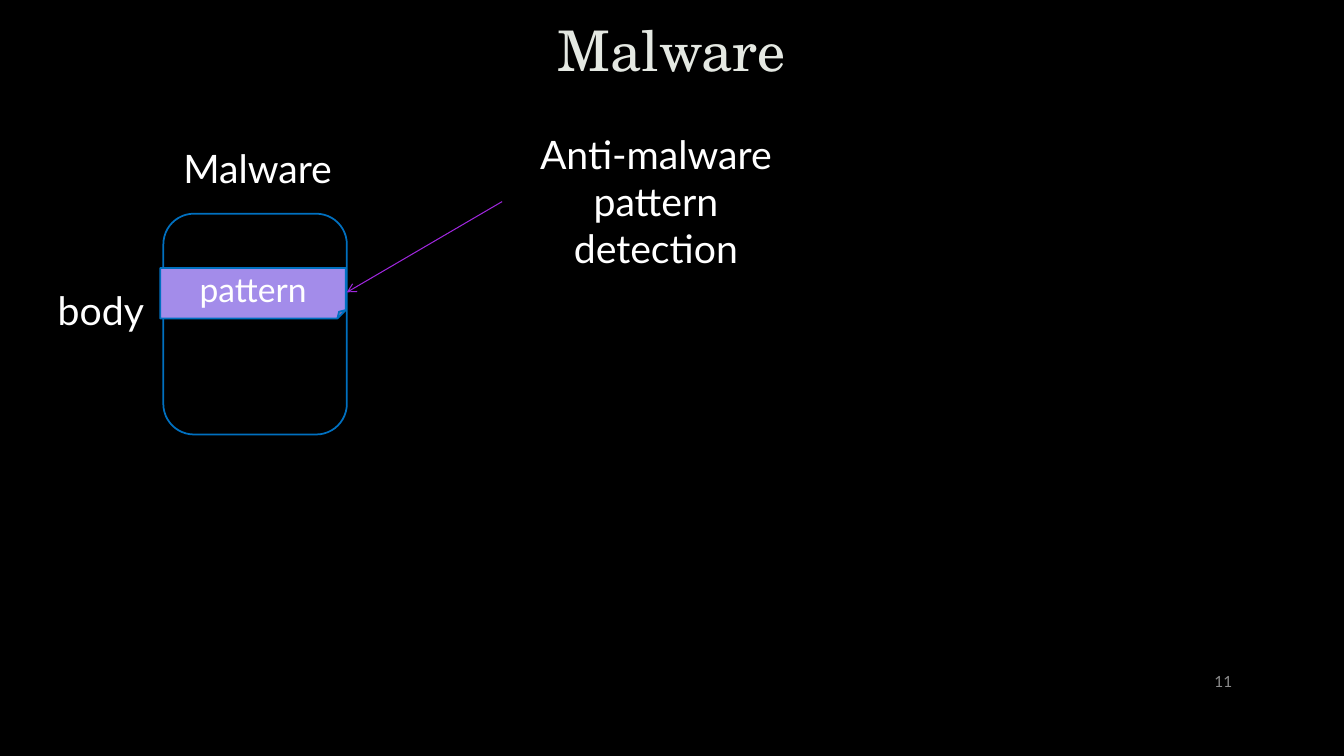
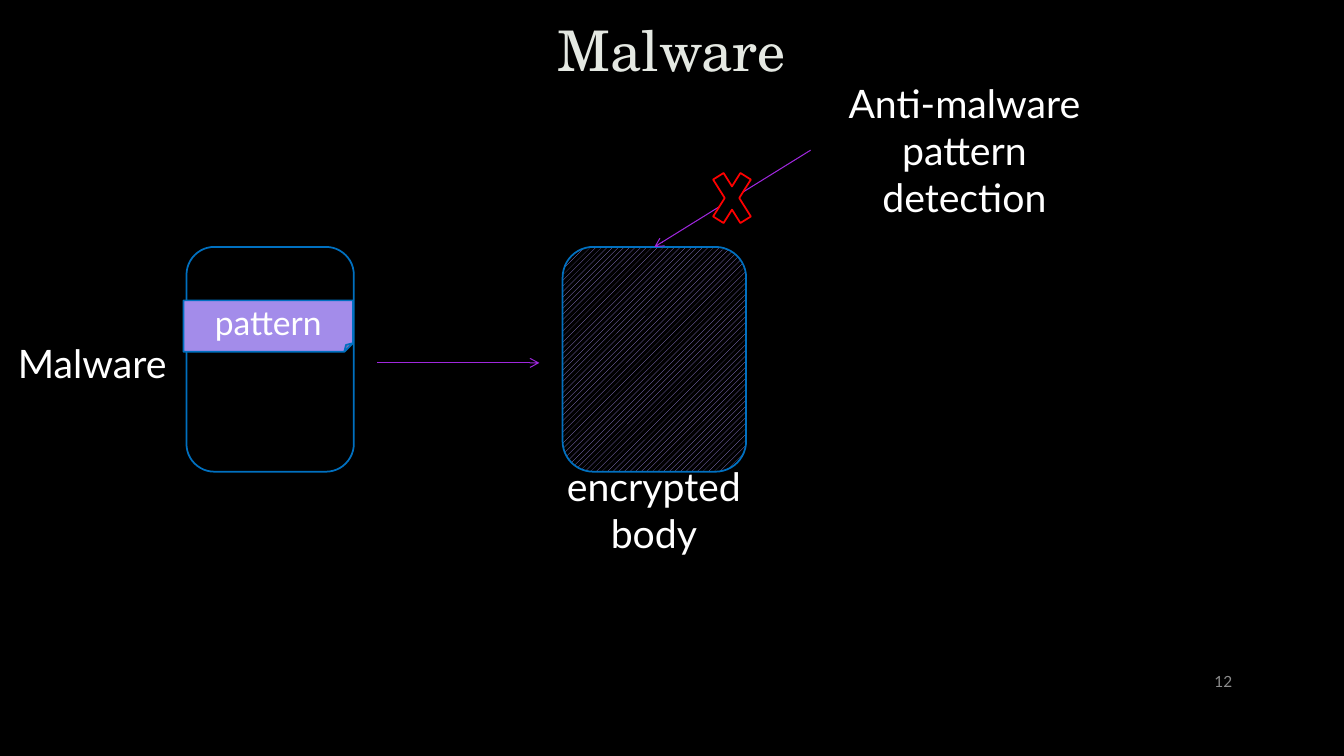
from lxml import etree
from pptx import Presentation
from pptx.dml.color import RGBColor
from pptx.enum.dml import MSO_PATTERN
from pptx.enum.shapes import MSO_CONNECTOR, MSO_SHAPE
from pptx.enum.text import MSO_ANCHOR, PP_ALIGN
from pptx.oxml import parse_xml
from pptx.oxml.ns import nsdecls, qn
from pptx.util import Inches, Pt

# Shared style
BLACK = RGBColor(0x00, 0x00, 0x00)
WHITE = RGBColor(0xFF, 0xFF, 0xFF)
TITLE_COLOR = RGBColor(0xE4, 0xE8, 0xE2)
NUMBER_GRAY = RGBColor(0x8C, 0x8C, 0x8C)
BLUE = RGBColor(0x00, 0x70, 0xC0)
LILAC = RGBColor(0xA3, 0x8C, 0xEA)
PURPLE = RGBColor(0x9F, 0x27, 0xDD)
RED = RGBColor(0xFF, 0x00, 0x00)
BODY_FONT = "Lato"
TITLE_FONT = "TeX Gyre Schola"
TITLE_OUTLINE = (
    f'<a:ln {nsdecls("a")} w="9525"><a:solidFill><a:srgbClr val="404040">'
    '<a:alpha val="10000"/></a:srgbClr></a:solidFill></a:ln>'
)


def set_up_master(presentation):
    """Set the background and title position that all slides share."""
    background = presentation.slide_master.background.fill
    background.solid()
    background.fore_color.rgb = BLACK
    layout = presentation.slide_layouts.get_by_name("Title Only")
    title = layout.placeholders[0]
    title.left, title.top = Inches(1), Inches(-0.01)
    title.width, title.height = Inches(11.32), Inches(1.07)
    return layout


def write(frame, text, size, color=WHITE, align=PP_ALIGN.CENTER, font=BODY_FONT):
    frame.word_wrap = True
    frame.vertical_anchor = MSO_ANCHOR.MIDDLE
    paragraph = frame.paragraphs[0]
    paragraph.alignment = align
    run = paragraph.add_run()
    run.text = text
    run.font.name = font
    run.font.size = Pt(size)
    run.font.color.rgb = color
    return paragraph


def add_label(slide, text, left, top, width, height, size=28, **style):
    box = slide.shapes.add_textbox(*map(Inches, (left, top, width, height)))
    write(box.text_frame, text, size, **style)


def add_outlined(slide, kind, left, top, width, height, fill=None, line=BLUE):
    shape = slide.shapes.add_shape(kind, *map(Inches, (left, top, width, height)))
    shape.shadow.inherit = False
    shape.line.color.rgb = line
    shape.line.width = Pt(1.25)
    if fill is None:
        shape.fill.background()
    else:
        shape.fill.solid()
        shape.fill.fore_color.rgb = fill
    return shape


def add_body(slide, left, top, width, height):
    return add_outlined(slide, MSO_SHAPE.ROUNDED_RECTANGLE, left, top, width, height)


def add_pattern(slide, left, top, width, height):
    note = add_outlined(slide, MSO_SHAPE.FOLDED_CORNER, left, top, width, height, LILAC)
    write(note.text_frame, "pattern", 24)


def add_arrow(slide, start, tip):
    arrow = slide.shapes.add_connector(
        MSO_CONNECTOR.STRAIGHT, *map(Inches, (*start, *tip)))
    arrow.line.color.rgb = PURPLE
    arrow.line.width = Pt(0.75)
    properties = arrow.line._get_or_add_ln()
    etree.SubElement(properties, qn("a:tailEnd"), type="arrow")
    etree.SubElement(arrow.element.spPr, qn("a:effectLst"))


def add_detector(slide, left, top, target):
    """Detection label with an arrow from its left edge to the target."""
    add_arrow(slide, (left, top + 0.52), target)
    add_label(slide, "Anti-malware pattern detection", left, top, 3.05, 1.03)


def add_slide(presentation, layout, number):
    slide = presentation.slides.add_slide(layout)
    paragraph = write(slide.shapes.title.text_frame, "Malware", 40,
                      TITLE_COLOR, font=TITLE_FONT)
    paragraph.line_spacing = 0.9
    run_properties = paragraph.runs[0].font._element
    run_properties.insert(0, parse_xml(TITLE_OUTLINE))
    add_label(slide, str(number), 11.5, 6.56, 0.82, 0.4, size=11,
              color=NUMBER_GRAY, align=PP_ALIGN.RIGHT)
    return slide


def build_detected(slide):
    add_body(slide, 1.62, 2.12, 1.82, 2.19)
    add_label(slide, "Malware", 1.27, 1.15, 2.57, 1.03)
    add_pattern(slide, 1.59, 2.66, 1.84, 0.5)
    add_detector(slide, 4.98, 1.48, target=(3.44, 2.9))
    add_label(slide, "body", 0.2, 2.67, 1.6, 0.8)


def build_encrypted(slide):
    # Encrypted body
    encrypted = add_body(slide, 5.58, 2.45, 1.82, 2.23)
    encrypted.fill.patterned()
    encrypted.fill.pattern = MSO_PATTERN.WIDE_UPWARD_DIAGONAL
    encrypted.fill.fore_color.rgb = LILAC
    encrypted.fill.back_color.rgb = BLACK
    add_label(slide, "encrypted body", 5.14, 4.54, 2.69, 1.03)

    # Plain malware
    add_body(slide, 1.85, 2.45, 1.66, 2.23)
    add_label(slide, "Malware", -0.26, 3.07, 2.35, 1.05)
    add_pattern(slide, 1.82, 2.98, 1.68, 0.51)
    add_arrow(slide, (3.74, 3.6), (5.35, 3.6))

    # Failed detection
    add_detector(slide, 8.04, 0.97, target=(6.49, 2.45))
    add_outlined(slide, MSO_SHAPE.MATH_MULTIPLY, 7, 1.55, 0.52, 0.83, BLACK, RED)


def main():
    presentation = Presentation()
    presentation.slide_width = Inches(13.33)
    presentation.slide_height = Inches(7.5)
    layout = set_up_master(presentation)
    for number, build in enumerate((build_detected, build_encrypted), start=11):
        build(add_slide(presentation, layout, number))
    presentation.save("out.pptx")


if __name__ == "__main__":
    main()
